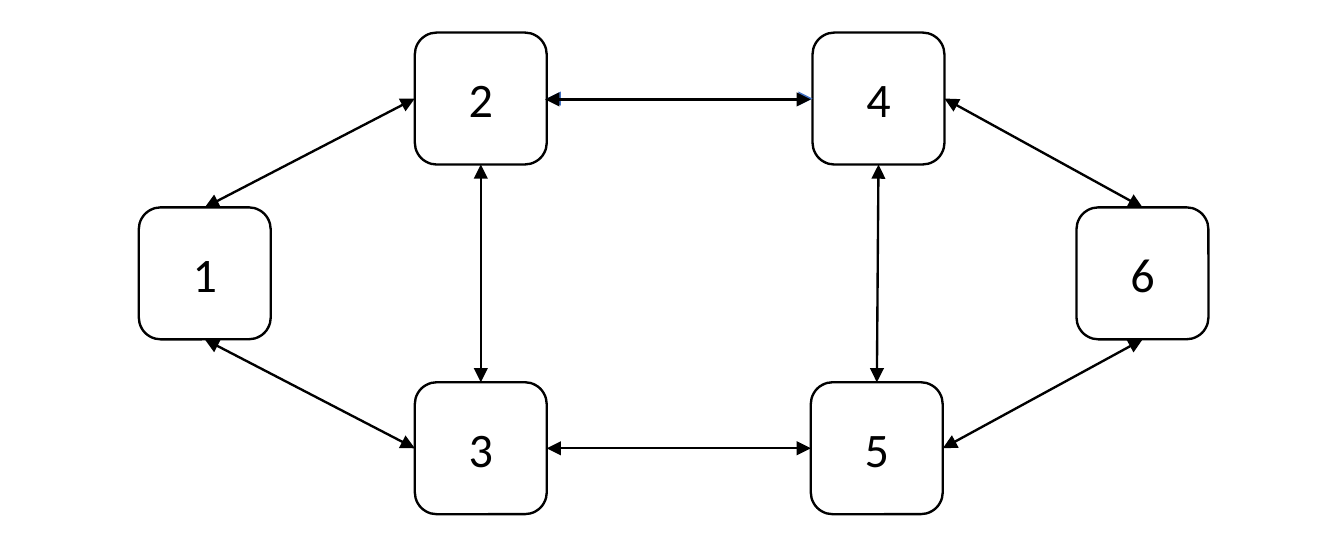
import pptx
import pptx.util
import pptx.dml.color
import pptx.enum.shapes
import pptx.enum.text
import pptx.oxml
import pptx.oxml.ns
from pptx.util import Inches

RGB = pptx.dml.color.RGBColor.from_string
THEME = {
    "font": "Calibri",
    "size": pptx.util.Pt(20.2),
    "ink": RGB("000000"),
    "paper": RGB("FFFFFF"),
    "accent": RGB("4472C4"),
    "line": pptx.util.Pt(1),
    "thin": pptx.util.Pt(0.5),
}
TOP, LEFT, BOTTOM, RIGHT = range(4)
SIDE = 0.77
HIGH, MIDDLE, LOW = 0.19, 1.21, 2.23


def add_arrow(s, start, end, color, width):
    c = s.shapes.add_connector(
        pptx.enum.shapes.MSO_CONNECTOR.STRAIGHT,
        *[Inches(v) for v in start + end],
    )
    c.line.color.rgb = color
    c.line.width = width
    ln = c.line._get_or_add_ln()
    for tag in ("a:headEnd", "a:tailEnd"):
        pptx.oxml.ns.qn(tag)
        tip = pptx.oxml.parse_xml(f"<{tag} {pptx.oxml.ns.nsdecls('a')} type='triangle'/>")
        ln.append(tip)
    effects = pptx.oxml.parse_xml(f"<a:effectLst {pptx.oxml.ns.nsdecls('a')}/>")
    ln.addnext(effects)
    return c


prs = pptx.Presentation()
prs.slide_width = Inches(7.84)
prs.slide_height = Inches(3.15)
s = prs.slides.add_slide(prs.slide_layouts[6])

places = {
    "5": (4.73, LOW),
    "3": (2.42, LOW),
    "6": (6.28, MIDDLE),
    "4": (4.74, HIGH),
    "2": (2.42, HIGH),
    "1": (0.81, MIDDLE),
}
nodes = {}
for label, (x, y) in places.items():
    sp = s.shapes.add_shape(
        pptx.enum.shapes.MSO_SHAPE.ROUNDED_RECTANGLE,
        Inches(x), Inches(y), Inches(SIDE), Inches(SIDE),
    )
    sp.shadow.inherit = False
    sp.fill.solid()
    sp.fill.fore_color.rgb = THEME["paper"]
    sp.line.color.rgb = THEME["ink"]
    sp.line.width = THEME["line"]
    tf = sp.text_frame
    tf.text = label
    tf.word_wrap = True
    tf.vertical_anchor = pptx.enum.text.MSO_ANCHOR.MIDDLE
    tf.margin_left = tf.margin_right = Inches(0.17)
    tf.margin_top = tf.margin_bottom = Inches(0.08)
    p = tf.paragraphs[0]
    p.alignment = pptx.enum.text.PP_ALIGN.CENTER
    r = p.runs[0]
    r.font.name = THEME["font"]
    r.font.size = THEME["size"]
    r.font.color.rgb = THEME["ink"]
    nodes[label] = sp

links = [
    ("2", LEFT, "1", TOP, "ink", "line"),
    ("2", RIGHT, "4", LEFT, "accent", "thin"),
    ("4", RIGHT, "6", TOP, "ink", "line"),
    ("6", BOTTOM, "5", RIGHT, "ink", "line"),
    ("5", LEFT, "3", RIGHT, "ink", "line"),
    ("3", TOP, "2", BOTTOM, "ink", "line"),
    ("3", LEFT, "1", BOTTOM, "ink", "line"),
    ("4", BOTTOM, "5", TOP, "ink", "line"),
]
for start, start_side, end, end_side, color, width in links:
    c = add_arrow(s, places[start], places[end], THEME[color], THEME[width])
    c.begin_connect(nodes[start], start_side)
    c.end_connect(nodes[end], end_side)

add_arrow(s, (3.18, 0.58), (4.73, 0.58), THEME["ink"], THEME["line"])

prs.save("out.pptx")
